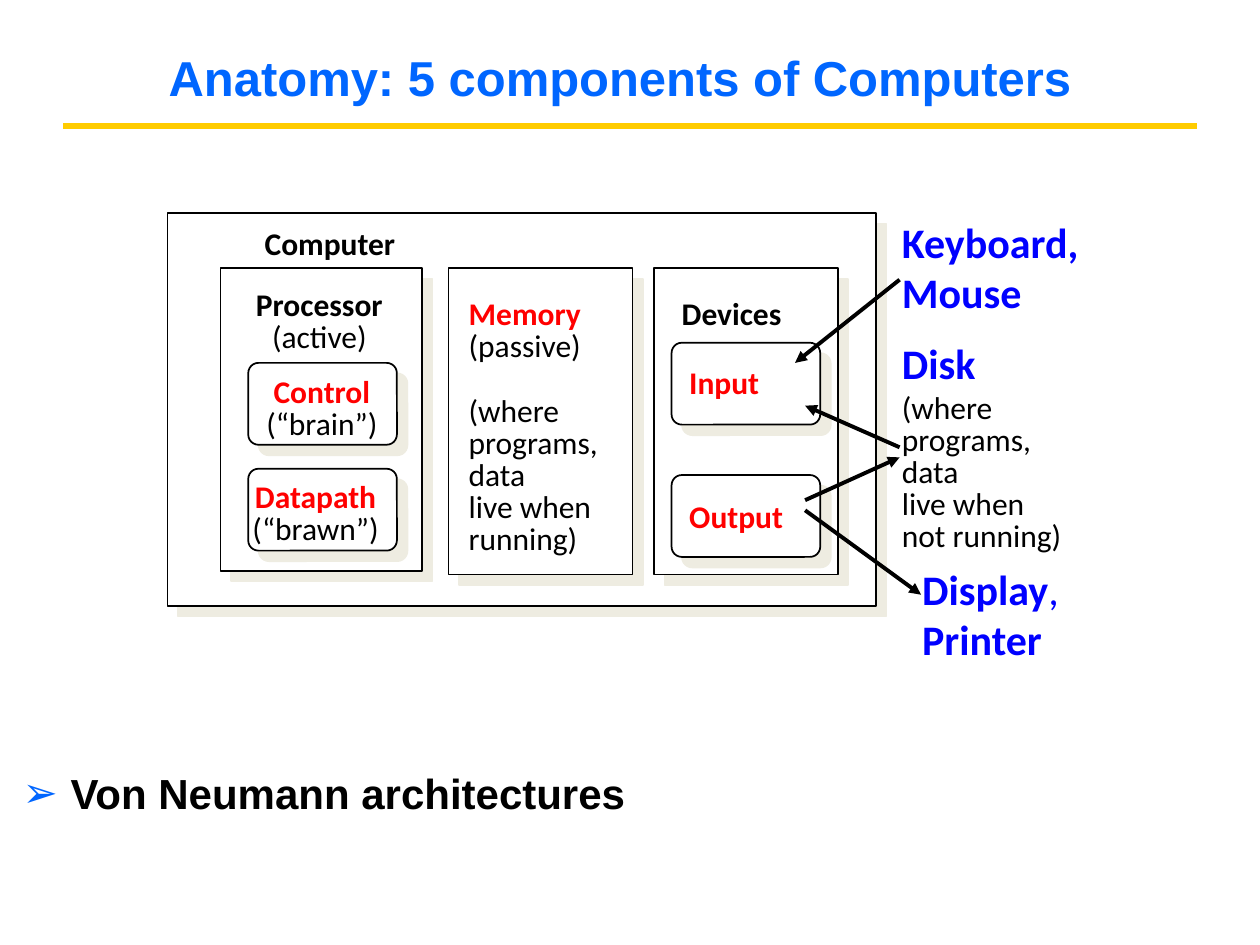
"""Build a slide on the five components of a computer."""
from lxml import etree
from pptx import Presentation
from pptx.dml.color import RGBColor
from pptx.enum.shapes import MSO_CONNECTOR, MSO_SHAPE
from pptx.enum.text import MSO_ANCHOR, PP_ALIGN
from pptx.oxml import parse_xml
from pptx.oxml.ns import nsdecls, qn
from pptx.util import Inches, Pt

COLORS = {
    "title": "0066FF", "rule": "FFCC00", "ink": "000000", "paper": "FFFFFF",
    "part": "FF0000", "device": "0000FF", "shadow": "EEECE1",
}


def color(name):
    return RGBColor.from_string(COLORS[name])


def add_label(box, paragraphs, align=PP_ALIGN.LEFT, insets=(0.07, 0.03), gaps=None):
    frame = slide.shapes.add_textbox(*map(Inches, box)).text_frame
    frame.word_wrap = True
    frame.margin_left = frame.margin_right = Inches(insets[0])
    frame.margin_top = frame.margin_bottom = Inches(insets[1])
    for index, (spacing, runs) in enumerate(paragraphs):
        line = frame.paragraphs[0] if index == 0 else frame.add_paragraph()
        line.alignment = align
        line.line_spacing = spacing
        line.space_before = Pt((gaps or {}).get(index, 0))
        for text, ink, bold, size in runs:
            if text == "\n":
                line.add_line_break()
                continue
            run = line.add_run()
            run.text = text
            run.font.name = "Calibri"
            run.font.size = Pt(size)
            run.font.bold = bold
            run.font.color.rgb = color(ink)


prs = Presentation()
prs.slide_width, prs.slide_height = Inches(10), Inches(7.5)
slide = prs.slides.add_slide(prs.slide_layouts[1])

title, body = slide.placeholders
title.left, title.top, title.width, title.height = map(Inches, (0.17, 0.3, 9.5, 0.62))
title.text_frame.vertical_anchor = MSO_ANCHOR.MIDDLE
title.text_frame.text = "Anatomy: 5 components of Computers"
body.left, body.top, body.width, body.height = map(Inches, (0.08, 6.04, 9.83, 0.96))
body.text_frame.text = "Von Neumann architectures"

heading = title.text_frame.paragraphs[0]
heading.alignment = PP_ALIGN.CENTER
point = body.text_frame.paragraphs[0]
point.space_before = Pt(18)
point_props = point._p.get_or_add_pPr()
point_props.set("marL", str(Inches(0.38)))
point_props.set("indent", str(-Inches(0.38)))
bullet_color = etree.SubElement(point_props, qn("a:buClr"))
etree.SubElement(bullet_color, qn("a:srgbClr"), val=COLORS["title"])
etree.SubElement(point_props, qn("a:buChar"), char="➢")
for line, size, ink in ((heading, 28, "title"), (point, 24, "ink")):
    line.font.name = "Arial"
    line.font.size = Pt(size)
    line.font.bold = True
    line.font.color.rgb = color(ink)

BLOCKS = [
    (MSO_SHAPE.RECTANGLE, (1.33, 1.69, 5.62, 3.12)),
    (MSO_SHAPE.RECTANGLE, (1.75, 2.13, 1.6, 2.4)),
    (MSO_SHAPE.RECTANGLE, (3.56, 2.13, 1.46, 2.43)),
    (MSO_SHAPE.RECTANGLE, (5.19, 2.13, 1.46, 2.43)),
] + [
    (MSO_SHAPE.ROUNDED_RECTANGLE, (left, top, 1.18, 0.65))
    for left, top in ((1.97, 2.88), (1.97, 3.72), (5.33, 2.72), (5.33, 3.77))
]
for kind, box in BLOCKS:
    block = slide.shapes.add_shape(kind, *map(Inches, box))
    if kind == MSO_SHAPE.ROUNDED_RECTANGLE:
        block.adjustments[0] = 0.125
    block.fill.solid()
    block.fill.fore_color.rgb = color("paper")
    block.line.color.rgb = color("ink")
    block.line.width = Pt(1)
    block.shadow.inherit = False
    effects = block._element.spPr.find(qn("a:effectLst"))
    effects.append(parse_xml(
        f'<a:outerShdw {nsdecls("a")} blurRad="0" dist="{Pt(8.5)}" dir="2700000" '
        f'algn="ctr" rotWithShape="0"><a:srgbClr val="{COLORS["shadow"]}"/></a:outerShdw>'
    ))

for box, name, ink in (
    ((2.03, 1.79, 1.32, 0.31), "Computer", "ink"),
    ((5.34, 2.35, 1.08, 0.31), "Devices", "ink"),
    ((5.4, 2.9, 0.8, 0.32), "Input", "part"),
    ((5.4, 3.96, 0.95, 0.32), "Output", "part"),
):
    add_label(box, [(0.85, [(name, ink, True, 18)])])

for box, name, ink, role in (
    ((1.82, 2.28, 1.43, 0.57), "Processor", "ink", "(active)"),
    ((2.04, 2.97, 1.03, 0.57), "Control", "part", "(“brain”)"),
    ((1.93, 3.8, 1.15, 0.57), "Datapath", "part", "(“brawn”)"),
):
    add_label(
        box,
        [(0.85, [(name, ink, True, 18)]), (0.85, [(role, "ink", False, 18)])],
        PP_ALIGN.CENTER,
    )

memory_lines = ["(passive)", "(where", "programs,", "data", "live when", "running)"]
add_label(
    (3.65, 2.35, 1.23, 2.12),
    [(0.85, [("Memory", "part", True, 18)])]
    + [(0.85, [(text, "ink", False, 18)]) for text in memory_lines],
    gaps={2: 18.6},
)

OUTER = (0.1, 0.05)
add_label(
    (7.06, 1.67, 1.92, 0.9),
    [(1.0, [("Keyboard,", "device", True, 24), ("\n", "", True, 24),
            ("Mouse", "device", True, 24)])],
    insets=OUTER,
)
add_label(
    (7.22, 4.42, 1.57, 0.9),
    [(1.0, [("Display", "device", True, 24), (",", "device", False, 24),
            ("\n", "", True, 24), ("Printer", "device", True, 24)])],
    insets=OUTER,
)
disk_lines = ["programs,", "data", "live when", "not running)"]
add_label(
    (7.06, 2.63, 1.83, 1.82),
    [(1.0, [("Disk", "device", True, 24), ("\n", "", True, 18),
            ("(where", "ink", False, 18)])]
    + [(0.85, [(text, "ink", False, 18)]) for text in disk_lines],
    insets=OUTER,
)

for start, end, ink, width, arrow in (
    ((0.5, 1), (9.5, 1), "rule", 3, False),
    ((6.39, 4.05), (7.31, 4.72), "ink", 2.25, True),
    ((7.14, 2.22), (6.31, 2.88), "ink", 2.25, True),
    ((7.14, 3.55), (6.39, 3.22), "ink", 2.25, True),
    ((6.39, 3.97), (7.14, 3.63), "ink", 2.25, True),
):
    link = slide.shapes.add_connector(MSO_CONNECTOR.STRAIGHT, *map(Inches, start + end))
    link.line.color.rgb = color(ink)
    link.line.width = Pt(width)
    if arrow:
        etree.SubElement(link.line._get_or_add_ln(), qn("a:tailEnd"), type="triangle")
    etree.SubElement(link._element.spPr, qn("a:effectLst"))

prs.save("out.pptx")
